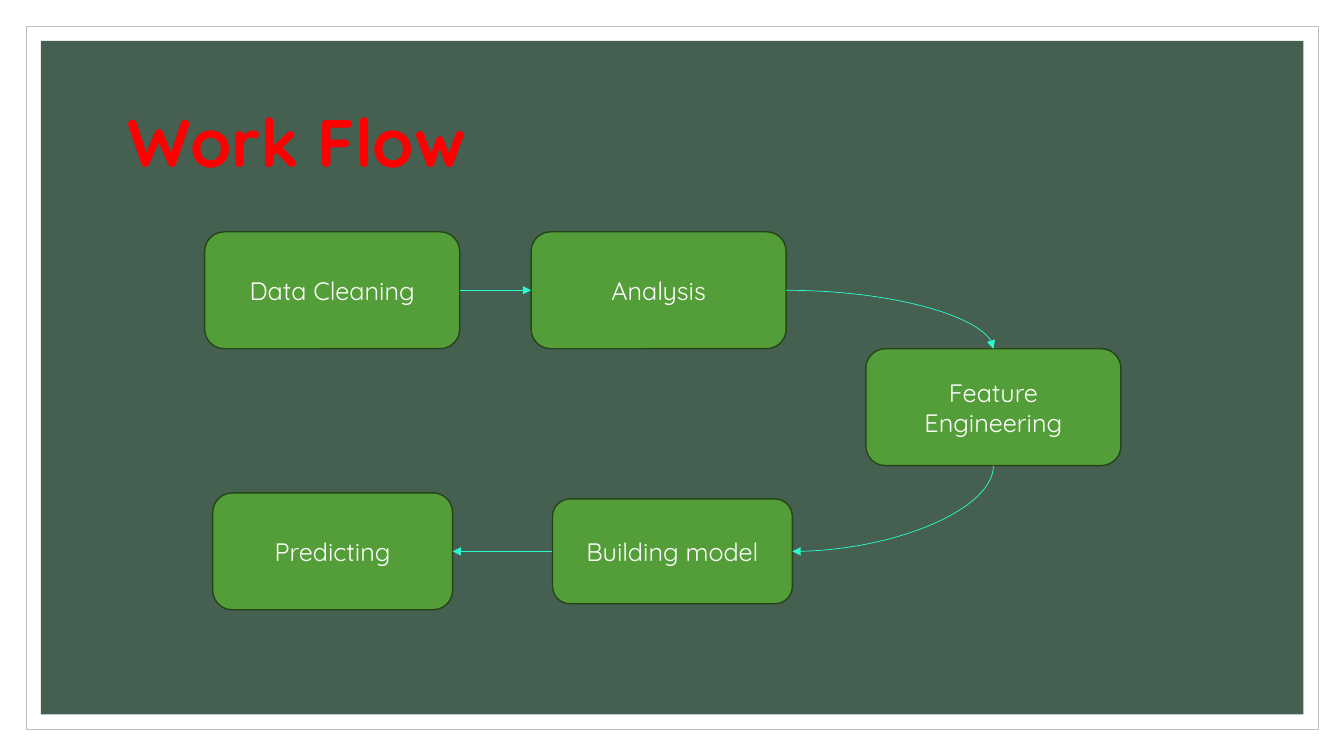
from lxml import etree
from pptx import Presentation
from pptx import util as u
from pptx.dml.color import RGBColor
from pptx.enum import shapes as s, text as t
from pptx.oxml.ns import qn

WHITE = RGBColor(0xFF, 0xFF, 0xFF)
GREY = RGBColor(0xBF, 0xBF, 0xBF)
SLATE = RGBColor(0x45, 0x5F, 0x51)
RED = RGBColor(0xFF, 0x00, 0x00)
GREEN = RGBColor(0x54, 0x9E, 0x39)
DARK = RGBColor(0x25, 0x45, 0x19)
AQUA = RGBColor(0x2B, 0xFC, 0xCF)
TOP, LEFT, BOTTOM, RIGHT = range(4)

STEPS = {
    "Data Cleaning": (0, 0, 182.2, 83.5),
    "Analysis": (233.2, 0, 182.2, 83.5),
    "Feature Engineering": (472.3, 83.5, 182.2, 83.5),
    "Building model": (248.4, 190.8, 171.4, 74.9),
    "Predicting": (5.7, 186.5, 171.4, 83.5),
}
LINKS = [(RIGHT, LEFT), (RIGHT, TOP), (BOTTOM, RIGHT), (LEFT, RIGHT)]


def block(slide, kind, box, fill, edge=None, width=0):
    """Add a filled shape with an optional outline."""
    shape = slide.shapes.add_shape(kind, *map(u.Pt, box))
    shape.shadow.inherit = False
    shape.fill.solid()
    shape.fill.fore_color.rgb = fill
    if edge is None:
        shape.line.fill.background()
    else:
        shape.line.color.rgb = edge
        shape.line.width = u.Pt(width)
    return shape


def write(shape, words, color, form, align):
    """Write one wrapped, vertically centred paragraph in a shape."""
    frame = shape.text_frame
    frame.word_wrap = True
    frame.vertical_anchor = t.MSO_ANCHOR.MIDDLE
    para = frame.paragraphs[0]
    para.alignment = align
    run = para.add_run()
    run.text = words
    run.font.color.rgb = color
    for key, value in form.items():
        setattr(run.font, key, value)
    return para


def frame(slide, box):
    """Draw the thin border and the dark panel inside it."""
    left, top, wide, high = box
    gap = 10.6
    block(slide, s.MSO_SHAPE.RECTANGLE, box, WHITE, GREY, 0.5)
    inner = left + gap, top + gap, wide - 2 * gap, high - 2 * gap
    block(slide, s.MSO_SHAPE.RECTANGLE, inner, SLATE)


def title(slide, box, words):
    """Place the slide title in its box."""
    form = {"name": "Quicksand", "size": u.Pt(48), "bold": True}
    shape = slide.shapes.add_textbox(*map(u.Pt, box))
    para = write(shape, words, RED, form, t.PP_ALIGN.LEFT)
    para.line_spacing = 0.9


def link(slide, start, end, out, into):
    """Join two steps with a thin curved arrow."""
    line = slide.shapes.add_connector(s.MSO_CONNECTOR.CURVE, 0, 0, 0, 0)
    line.begin_connect(start, out)
    line.end_connect(end, into)
    line.line.color.rgb = AQUA
    line.line.width = u.Pt(0.5)
    props = line._element.spPr
    if out % 2 != into % 2:
        props.find(qn("a:prstGeom")).set("prst", "curvedConnector2")
    if out == BOTTOM:
        wide, high = line.width, line.height
        midx, midy = line.left + wide // 2, line.top + high // 2
        spin = props.find(qn("a:xfrm"))
        spin.attrib.clear()
        spin.set("rot", str(90 * 60000))
        line.left, line.top = midx - high // 2, midy - wide // 2
        line.width, line.height = high, wide
    etree.SubElement(line.line._get_or_add_ln(), qn("a:tailEnd"), type="triangle")
    etree.SubElement(props, qn("a:effectLst"))


def flow(slide, box):
    """Place the steps and the arrows between them."""
    form = {"name": "Quicksand", "size": u.Pt(18)}
    left, top = box[:2]
    steps = []
    for words, (x, y, wide, high) in STEPS.items():
        place = left + x, top + y, wide, high
        step = block(slide, s.MSO_SHAPE.ROUNDED_RECTANGLE, place, GREEN, DARK, 1)
        write(step, words, WHITE, form, t.PP_ALIGN.CENTER)
        steps.append(step)
    for start, end, (out, into) in zip(steps, steps[1:], LINKS):
        link(slide, start, end, out, into)


def main():
    """Build and save the work flow slide."""
    deck = Presentation()
    deck.slide_width, deck.slide_height = u.Pt(960), u.Pt(540)
    slide = deck.slides.add_slide(deck.slide_layouts[6])
    frame(slide, (18.7, 18.7, 923, 502.3))
    title(slide, (84.2, 50.4, 792, 108), "Work Flow")
    flow(slide, (146.2, 165.6, 654.5, 270))
    deck.save("out.pptx")


if __name__ == "__main__":
    main()
